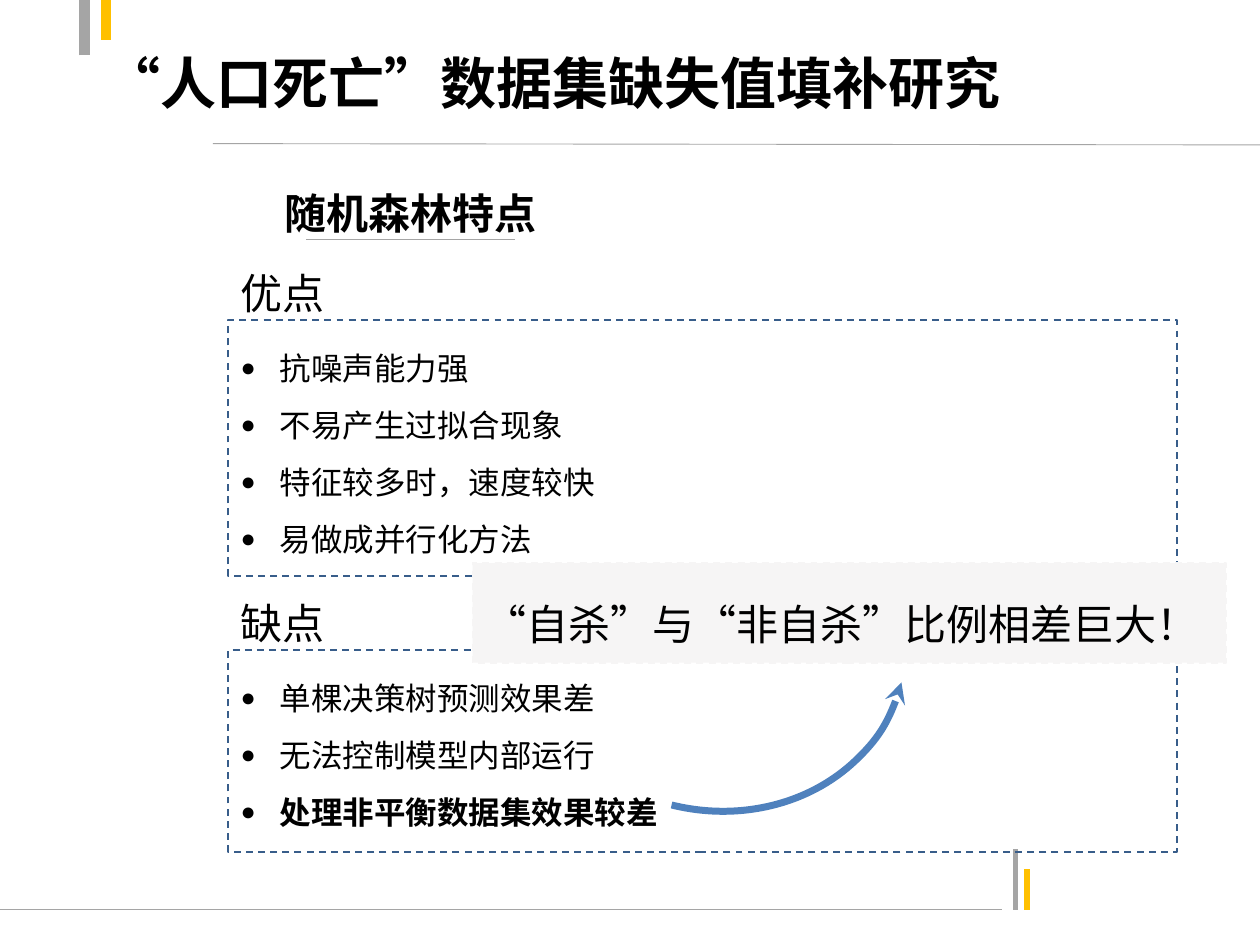
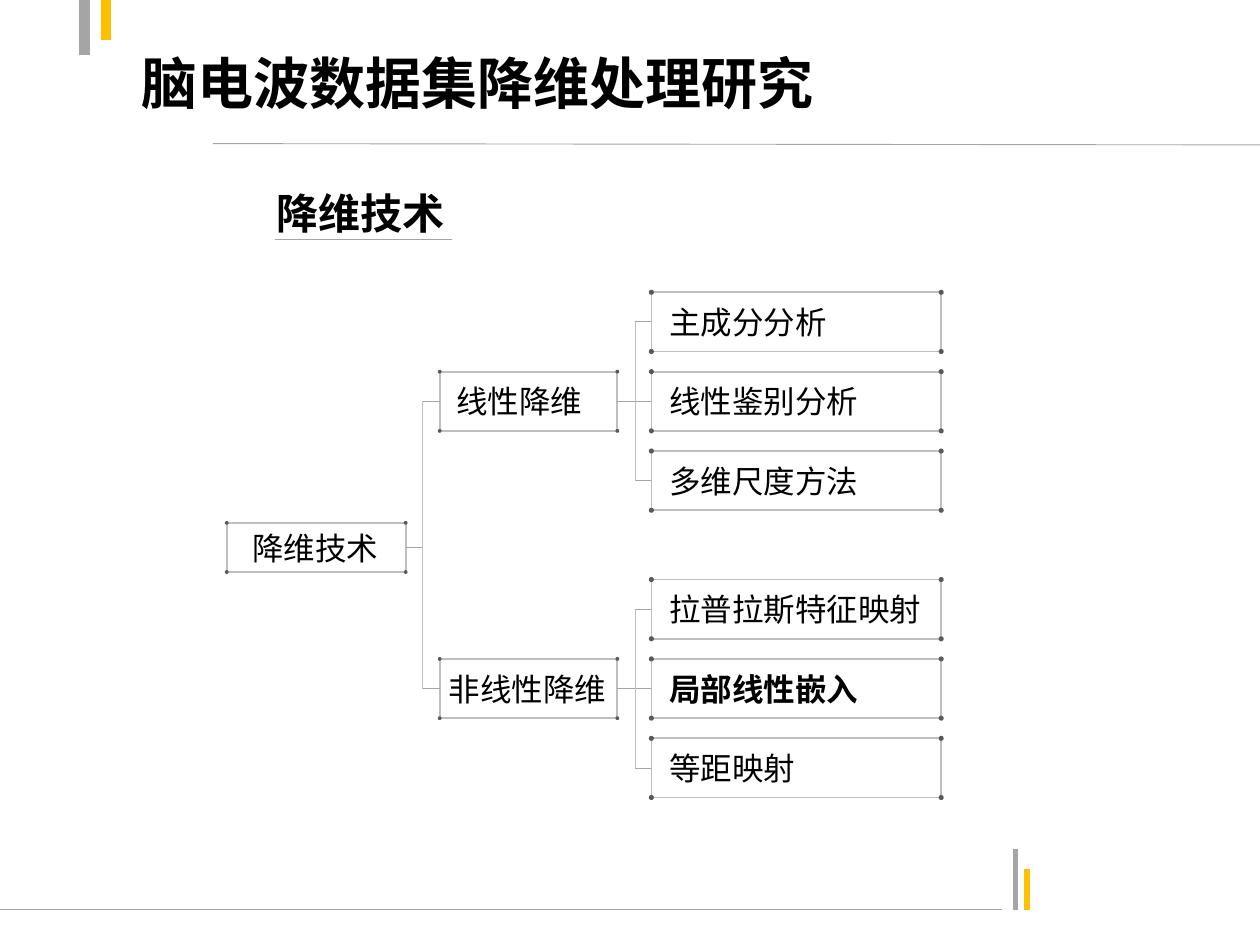
import dataclasses

import pptx
import pptx.dml.color
import pptx.enum.dml
import pptx.enum.shapes
import pptx.enum.text
import pptx.oxml.ns
import pptx.util
from lxml import etree

Inches = pptx.util.Inches
Pt = pptx.util.Pt
SHAPES = pptx.enum.shapes.MSO_SHAPE
ANCHOR = pptx.enum.text.MSO_ANCHOR
ALIGN = pptx.enum.text.PP_ALIGN
qn = pptx.oxml.ns.qn


@dataclasses.dataclass(frozen=True)
class Theme:
    font: str = "Noto Sans CJK SC"
    title_font: str = "Calibri"
    root_font: str = "Roboto"
    text: str = "000000"
    gray: str = "A5A5A5"
    yellow: str = "FFC000"
    dashed: str = "385D8A"
    callout: str = "F6F5F5"
    arrow: str = "4F81BD"
    node_border: str = "BFBFBF"
    stub: str = "A6A6A6"
    dot: str = "595959"
    title_size: int = 32
    heading_size: int = 24
    body_size: int = 18


THEME = Theme()


@dataclasses.dataclass(frozen=True)
class Box:
    """A rectangle in inches."""
    left: float
    top: float
    width: float
    height: float

    def place(self, shape):
        shape.left, shape.top, shape.width, shape.height = self.lengths()

    def lengths(self):
        return [Inches(value) for value in dataclasses.astuple(self)]


def rgb(color):
    return pptx.dml.color.RGBColor.from_string(color)


def write_text(paragraph, text, size=THEME.body_size, bold=False, font=THEME.font,
               align=ALIGN.LEFT, spacing=None):
    paragraph.alignment = align
    paragraph.space_before = Pt(0)
    if spacing:
        paragraph.line_spacing = Pt(spacing)
    run = paragraph.add_run()
    run.text = text
    run.font.size = Pt(size)
    run.font.bold = bold
    run.font.color.rgb = rgb(THEME.text)
    run.font.name = font
    etree.SubElement(run.font._element, qn("a:ea"), typeface=THEME.font)


def set_frame(shape, anchor=ANCHOR.TOP, left=0.1, top=0.05):
    frame = shape.text_frame
    frame.word_wrap = True
    frame.auto_size = pptx.enum.text.MSO_AUTO_SIZE.NONE
    frame.vertical_anchor = anchor
    frame.margin_left, frame.margin_top = Inches(left), Inches(top)
    return frame


def add_bullet(paragraph):
    properties = paragraph._p.get_or_add_pPr()
    properties.set("marL", str(Inches(0.31)))
    properties.set("indent", str(-Inches(0.31)))
    etree.SubElement(properties, qn("a:buSzPct"), val="80000")
    etree.SubElement(properties, qn("a:buChar"), char="●")


def add_label(slide, box, text, **text_format):
    label = slide.shapes.add_textbox(*box.lengths())
    write_text(set_frame(label).paragraphs[0], text, **text_format)


def add_shape(shapes, kind, box, fill=None, line=None, width=1):
    shape = shapes.add_shape(kind, *box.lengths())
    shape.shadow.inherit = False
    if fill:
        shape.fill.solid()
        shape.fill.fore_color.rgb = rgb(fill)
    else:
        shape.fill.background()
    if line:
        shape.line.color.rgb = rgb(line)
        shape.line.width = Pt(width)
    else:
        shape.line.fill.background()
    return shape


def add_line(slide, start, end, color, width=0.5):
    connector = slide.shapes.add_connector(
        pptx.enum.shapes.MSO_CONNECTOR.STRAIGHT,
        *[Inches(value) for value in (*start, *end)])
    connector.line.color.rgb = rgb(color)
    connector.line.width = Pt(width)
    etree.SubElement(connector.element.spPr, qn("a:effectLst"))
    return connector


def decorate_master(presentation, slide):
    """Draw the shared lines on a slide, then move them to the master."""
    rules = [
        ((-0.04, 7.22), (7.95, 7.22), THEME.gray, 0.75),
        ((8.06, 7.22), (8.06, 6.74), THEME.gray, 3),
        ((8.15, 7.22), (8.15, 6.9), THEME.yellow, 3),
        ((0.67, 0.44), (0.67, -0.03), THEME.gray, 6),
        ((0.84, 0), (0.84, 0.32), THEME.yellow, 6),
        ((1.69, 1.14), (10.01, 1.15), THEME.gray, 0.5),
    ]
    for number, rule in enumerate(rules, start=101):
        connector = add_line(slide, *rule)
        connector.element.nvCxnSpPr.cNvPr.set("id", str(number))
        presentation.slide_master.shapes.element.append(connector.element)


def add_headings(slide, title, subtitle, subtitle_left, underline,
                 title_font=THEME.font, title_inset=0.1):
    title_shape = slide.shapes.title
    Box(0.73, 0.03, 9, 1.25).place(title_shape)
    frame = set_frame(title_shape, ANCHOR.MIDDLE, left=title_inset)
    write_text(frame.paragraphs[0], title, size=THEME.title_size, bold=True,
               font=title_font)
    add_label(slide, Box(subtitle_left, 1.28, 3.74, 0.62), subtitle,
              size=THEME.heading_size, bold=True, align=ALIGN.CENTER, spacing=40)
    left, right = underline
    add_line(slide, (left, 1.9), (right, 1.9), THEME.gray)


def add_feature_list(slide, placeholder, box, heading, items, emphasized=None):
    """Place a heading above a dashed box that holds a bulleted list."""
    add_label(slide, Box(box.left, box.top - 0.5, 1.07, 0.5), heading,
              size=THEME.heading_size, spacing=31)
    box.place(placeholder)
    placeholder.line.color.rgb = rgb(THEME.dashed)
    placeholder.line.width = Pt(1)
    placeholder.line.dash_style = pptx.enum.dml.MSO_LINE.DASH
    frame = set_frame(placeholder, top=0.08)
    for index, item in enumerate(items):
        paragraph = frame.add_paragraph() if index else frame.paragraphs[0]
        add_bullet(paragraph)
        write_text(paragraph, item, bold=item == emphasized, spacing=32.5)


def add_callout(slide, box, text):
    callout = add_shape(slide.shapes, SHAPES.RECTANGLE, box,
                        fill=THEME.callout, line=THEME.callout)
    callout.line.dash_style = pptx.enum.dml.MSO_LINE.DASH
    write_text(set_frame(callout).paragraphs[0], text,
               size=THEME.heading_size, spacing=45.5)


def add_curved_arrow(slide, box, rotation):
    arc = add_shape(slide.shapes, SHAPES.ARC, box, line=THEME.arrow, width=4)
    arc.rotation = rotation
    etree.SubElement(arc.line._get_or_add_ln(), qn("a:headEnd"), type="stealth")


def add_node(slide, box, text, inset, dot=0.04, **text_format):
    """Add a labelled rectangle with a dot on each corner; return the rectangle."""
    group = slide.shapes.add_group_shape()
    rectangle = add_shape(group.shapes, SHAPES.RECTANGLE, box, line=THEME.node_border)
    frame = set_frame(rectangle, ANCHOR.MIDDLE, left=inset)
    frame.margin_right = 0
    write_text(frame.paragraphs[0], text, **text_format)
    for x in (box.left, box.left + box.width):
        for y in (box.top, box.top + box.height):
            add_shape(group.shapes, SHAPES.OVAL,
                      Box(x - dot / 2, y - dot / 2, dot, dot), fill=THEME.dot)
    return rectangle


def join_to_spine(slide, parent, children, spine_x):
    """Link a parent's right side to its children's left sides."""
    def middle(node):
        return (node.top + node.height / 2) / Inches(1)

    for node, side in [(parent, 3)] + [(child, 1) for child in children]:
        y = middle(node)
        stub = add_line(slide, (spine_x, y), (spine_x, y), THEME.stub)
        stub.begin_connect(node, side)
    add_line(slide, (spine_x, middle(children[0])),
             (spine_x, middle(children[-1])), THEME.node_border)


def add_technique_tree(slide, box, branches):
    branch_left, leaf_left = box.left + 1.69, box.left + 3.37
    leaf_pitch, block_pitch = 0.63, 2.28
    root = add_node(slide, Box(box.left, box.top + 1.83, 1.42, 0.39),
                    "降维技术", 0.2, dot=0.03, font=THEME.root_font)
    branch_nodes = []
    for block, (name, inset, leaves, emphasized) in enumerate(branches):
        top = box.top + block * block_pitch
        branch = add_node(slide, Box(branch_left, top + leaf_pitch, 1.41, 0.47),
                          name, inset, dot=0.03)
        leaf_nodes = [
            add_node(slide, Box(leaf_left, top + row * leaf_pitch,
                                box.width - 3.37, 0.47),
                     leaf, 0.14, bold=leaf == emphasized)
            for row, leaf in enumerate(leaves)]
        join_to_spine(slide, branch, leaf_nodes, leaf_left - 0.13)
        branch_nodes.append(branch)
    join_to_spine(slide, root, branch_nodes, branch_left - 0.14)


def build_forest_slide(slide):
    add_headings(slide, "“人口死亡”数据集缺失值填补研究", "随机森林特点",
                 1.39, (2.43, 4.09))
    strengths, weaknesses = slide.placeholders[1], slide.placeholders[2]
    add_feature_list(slide, strengths, Box(1.81, 2.54, 7.53, 2.03), "优点",
                     ["抗噪声能力强", "不易产生过拟合现象",
                      "特征较多时，速度较快", "易做成并行化方法"])
    imbalance = "处理非平衡数据集效果较差"
    add_feature_list(slide, weaknesses, Box(1.81, 5.16, 7.53, 1.6), "缺点",
                     ["单棵决策树预测效果差", "无法控制模型内部运行", imbalance],
                     emphasized=imbalance)
    add_callout(slide, Box(3.75, 4.47, 5.98, 0.79),
                "“自杀”与“非自杀”比例相差巨大！")
    add_curved_arrow(slide, Box(4.28, 3.51, 2.77, 3.07), rotation=104)


def build_reduction_slide(slide):
    add_headings(slide, "脑电波数据集降维处理研究", "降维技术", 0.99, (2.18, 3.59),
                 title_font=THEME.title_font, title_inset=0.39)
    add_technique_tree(slide, Box(1.8, 2.32, 5.67, 4.01), [
        ("线性降维", 0.13, ["主成分分析", "线性鉴别分析", "多维尺度方法"], None),
        ("非线性降维", 0.07, ["拉普拉斯特征映射", "局部线性嵌入", "等距映射"],
         "局部线性嵌入"),
    ])


def main():
    presentation = pptx.Presentation()
    presentation.slide_width, presentation.slide_height = Inches(10), Inches(7.5)
    two_content, title_only = (presentation.slide_layouts[index] for index in (3, 5))
    forest_slide = presentation.slides.add_slide(two_content)
    decorate_master(presentation, forest_slide)
    build_forest_slide(forest_slide)
    build_reduction_slide(presentation.slides.add_slide(title_only))
    presentation.save("out.pptx")


if __name__ == "__main__":
    main()
